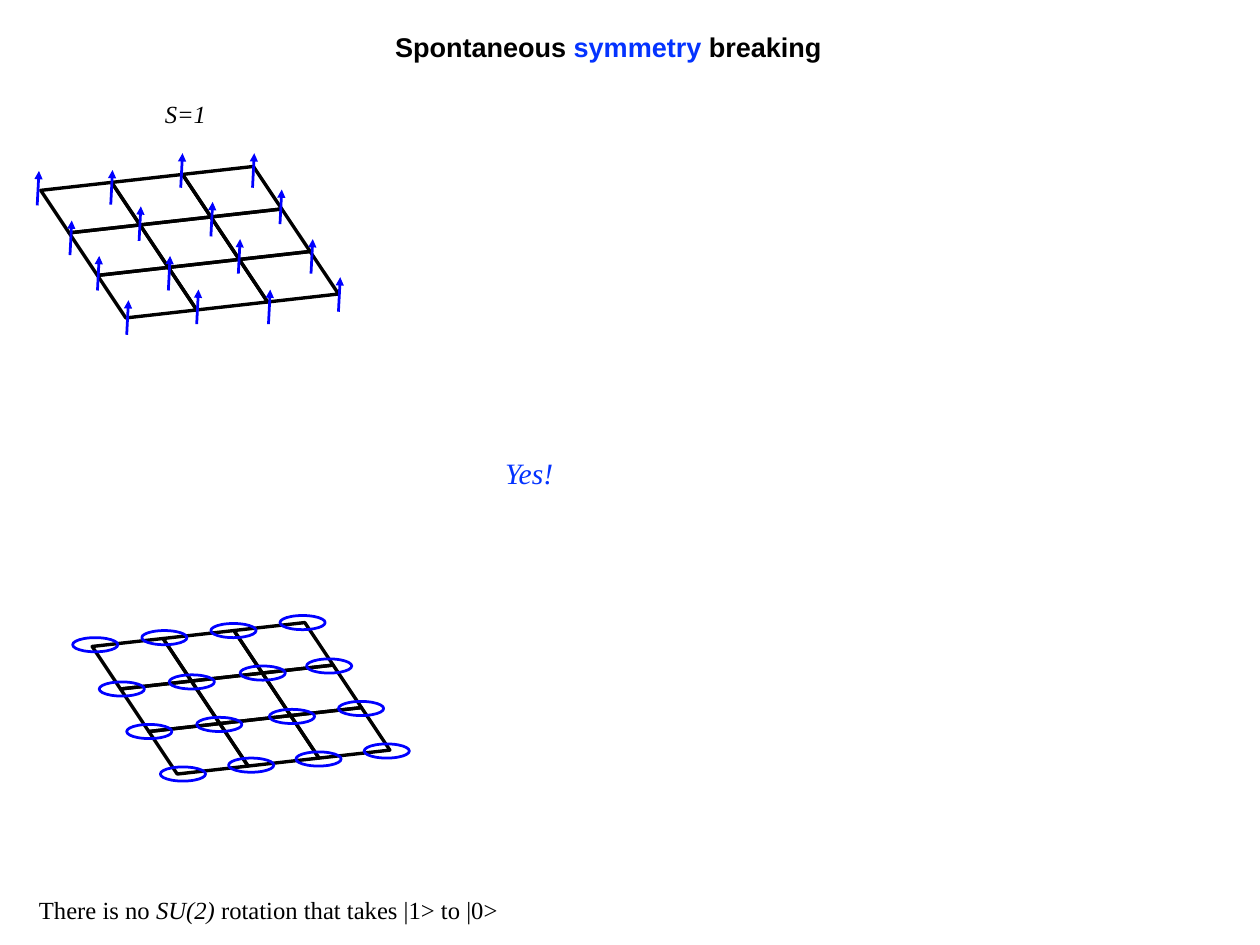
from lxml import etree
from pptx import Presentation
from pptx import util as u
from pptx.dml.color import RGBColor
from pptx.enum import shapes, text
from pptx.oxml.ns import qn

BLACK = RGBColor(0x00, 0x00, 0x00)
SPIN_BLUE = RGBColor(0x00, 0x00, 0xFF)
TEXT_BLUE = RGBColor(0x04, 0x33, 0xFF)

prs = Presentation()
prs.slide_width, prs.slide_height = u.Inches(14.22), u.Inches(10.67)
s = prs.slides.add_slide(prs.slide_layouts[6])


def add_lattice(left, top):
    """Return a group holding a sheared 3 by 3 lattice."""
    grp = s.shapes.add_group_shape()

    def node(col, row):
        return (u.Inches(left + 0.8 * col + 0.32 * row),
                u.Inches(top - 0.09 * col + 0.48 * row))

    for col in range(3):
        for row in range(3):
            fb = grp.shapes.build_freeform(*node(col, row))
            fb.add_line_segments([node(col + 1, row), node(col + 1, row + 1),
                                  node(col, row + 1)], close=True)
            sp = fb.convert_to_shape()
            sp.shadow.inherit = False
            sp.fill.background()
            sp.line.color.rgb = BLACK
            sp.line.width = u.Pt(2.75)
    return grp


def add_text(left, top, width, height, runs, size, font, wrap=True, align=text.PP_ALIGN.LEFT):
    """Add one line of text; each run is its words and a dict of formats."""
    tf = s.shapes.add_textbox(*map(u.Inches, (left, top, width, height))).text_frame
    frame = {"word_wrap": wrap, "vertical_anchor": text.MSO_ANCHOR.MIDDLE,
             "auto_size": text.MSO_AUTO_SIZE.SHAPE_TO_FIT_TEXT}
    for side in ("left", "top", "right", "bottom"):
        frame["margin_" + side] = u.Inches(0.06)
    for name, value in frame.items():
        setattr(tf, name, value)
    p = tf.paragraphs[0]
    p.alignment = align
    for words, formats in runs:
        r = p.add_run()
        r.text = words
        r.font.color.rgb = formats.get("color", BLACK)
        values = {"size": u.Pt(size), "name": font, "bold": formats.get("bold", False),
                  "italic": formats.get("italic", False)}
        for name, value in values.items():
            setattr(r.font, name, value)


# Upper lattice: an upward spin at each site, placed by its lower end
spin_feet = [
    (0.42, 2.32), (1.25, 2.31), (2.04, 2.12), (2.85, 2.12),
    (0.79, 2.88), (1.57, 2.72), (2.38, 2.67), (3.16, 2.53),
    (1.10, 3.28), (1.90, 3.28), (2.69, 3.09), (3.51, 3.09),
    (1.43, 3.78), (2.22, 3.66), (3.03, 3.66), (3.82, 3.52),
]
grp = add_lattice(0.46, 2.15)
for x, y in spin_feet:
    c = grp.shapes.add_connector(shapes.MSO_CONNECTOR.STRAIGHT, u.Inches(x), u.Inches(y),
                                 u.Inches(x + 0.02), u.Inches(y - 0.39))
    c.line.color.rgb = SPIN_BLUE
    c.line.width = u.Pt(2.25)
    spPr = c._element.spPr
    etree.SubElement(spPr.find(qn("a:ln")), qn("a:tailEnd"), type="triangle")
    etree.SubElement(spPr, qn("a:effectLst"))

add_text(1.8, 1.07, 1.85, 0.42, [("S=1", {"italic": True})], 20, "Times New Roman")

# Lower lattice: a flat ring at each site, placed by its top left corner
ring_corners = [
    (0.82, 7.20), (1.60, 7.12), (2.38, 7.04), (3.16, 6.95),
    (1.12, 7.70), (1.91, 7.62), (2.71, 7.52), (3.46, 7.44),
    (1.43, 8.18), (2.22, 8.10), (3.04, 8.01), (3.82, 7.92),
    (1.81, 8.66), (2.58, 8.56), (3.34, 8.49), (4.11, 8.40),
]
grp = add_lattice(1.04, 7.3)
for x, y in ring_corners:
    sp = grp.shapes.add_shape(shapes.MSO_SHAPE.OVAL, u.Inches(x), u.Inches(y),
                              u.Inches(0.51), u.Inches(0.16))
    sp.shadow.inherit = False
    sp.fill.background()
    sp.line.color.rgb = SPIN_BLUE
    sp.line.width = u.Pt(2.25)

# Answer, remark and title
add_text(5.64, 5.1, 8.5, 0.47, [("Yes!", {"italic": True, "color": TEXT_BLUE})],
         24, "Times New Roman")
add_text(0.38, 10.06, 12.54, 0.42,
         [("There is no ", {}), ("SU(2) ", {"italic": True}),
          ("rotation that takes |1> to |0>", {})], 20, "Times New Roman")
add_text(4.39, 0.29, 4.95, 0.47,
         [("Spontaneous ", {"bold": True}), ("symmetry", {"bold": True, "color": TEXT_BLUE}),
          (" breaking", {"bold": True})], 22, "Arial", False, text.PP_ALIGN.CENTER)

prs.save("out.pptx")
